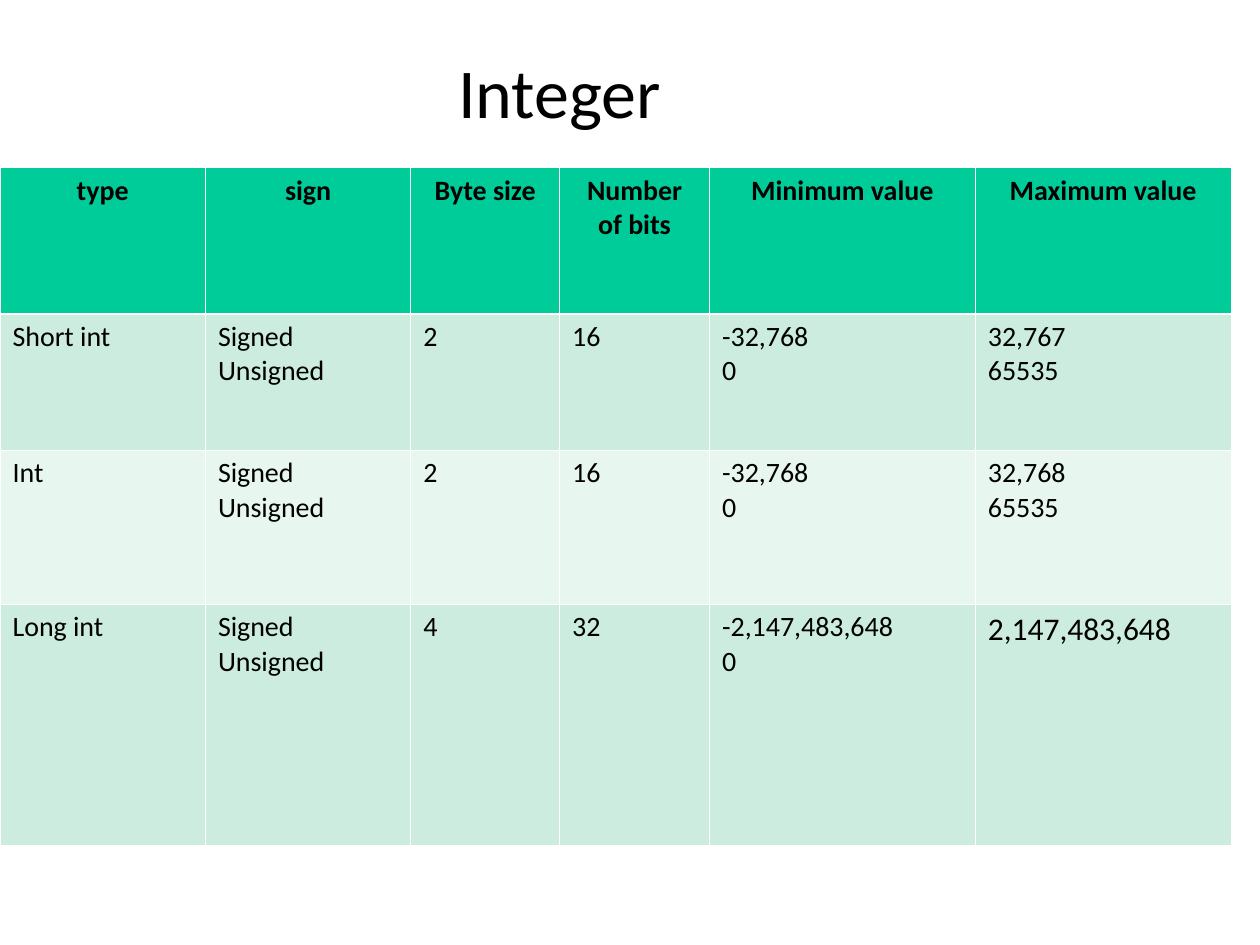
from lxml import etree
from pptx import Presentation
from pptx.dml.color import RGBColor
from pptx.enum.text import MSO_ANCHOR, PP_ALIGN
from pptx.oxml.ns import qn
from pptx.util import Pt

LEFT, CENTER = PP_ALIGN.LEFT, PP_ALIGN.CENTER
TOP, MIDDLE = MSO_ANCHOR.TOP, MSO_ANCHOR.MIDDLE
BLACK = RGBColor(0x00, 0x00, 0x00)
WHITE = RGBColor(0xFF, 0xFF, 0xFF)
GREEN = RGBColor(0x00, 0xCC, 0x99)
MINT = RGBColor(0xCB, 0xEC, 0xDE)
PALE = RGBColor(0xE7, 0xF6, 0xEF)

COL_WIDTHS = [117.4, 117.4, 85, 85.7, 151.9, 146.1]
ROW_HEIGHTS = [83.5, 77.8, 88, 138.2]
ROW_FILLS = [GREEN, MINT, PALE, MINT]
ROWS = [
    ["type", "sign", "Byte size", "Number of bits", "Minimum value", "Maximum value"],
    ["Short int", "Signed\nUnsigned", "2", "16", "-32,768\n0", "32,767\n65535"],
    ["Int", "Signed\nUnsigned", "2", "16", "-32,768\n0", "32,768\n65535"],
    ["Long int", "Signed\nUnsigned", "4", "32", "-2,147,483,648\n0", "2,147,483,648"],
]


def write(tf, text, size=16, bold=False, align=LEFT, spacing=1.0):
    tf.text = text
    for p in tf.paragraphs:
        p.alignment = align
        p.line_spacing = spacing
        for r in p.runs:
            r.font.name = "Calibri"
            r.font.size = Pt(size)
            r.font.bold = bold
            r.font.color.rgb = BLACK


def set_borders(cell, widths):
    tcPr = cell._tc.get_or_add_tcPr()
    for i, (side, width) in enumerate(widths.items()):
        ln = etree.Element(qn(f"a:ln{side}"), w=str(Pt(width)))
        fill = etree.SubElement(ln, qn("a:solidFill"))
        etree.SubElement(fill, qn("a:srgbClr"), val=str(WHITE))
        tcPr.insert(i, ln)


prs = Presentation()
prs.slide_width, prs.slide_height = Pt(720), Pt(540)
s = prs.slides.add_slide(prs.slide_layouts[5])

# Title; its trailing space is part of the wording
title = s.shapes.title
title.left, title.top, title.width, title.height = Pt(54), Pt(12.2), Pt(540.7), Pt(83.5)
title.text_frame.vertical_anchor = MIDDLE
write(title.text_frame, "Integer ", size=40, align=CENTER, spacing=0.97)

# Table of integer types
table = s.shapes.add_table(len(ROWS), len(COL_WIDTHS), Pt(0), Pt(95.8),
                           Pt(sum(COL_WIDTHS)), Pt(sum(ROW_HEIGHTS))).table
for col, width in zip(table.columns, COL_WIDTHS):
    col.width = Pt(width)
for i, (row, height) in enumerate(zip(table.rows, ROW_HEIGHTS)):
    row.height = Pt(height)
    header = i == 0
    borders = {"L": 0.45, "R": 0.45, "T": 1.47 if i == 1 else 0.45, "B": 1.47 if header else 0.45}
    for cell, text in zip(row.cells, ROWS[i]):
        cell.margin_left = cell.margin_right = Pt(7.2)
        cell.margin_top = cell.margin_bottom = Pt(3.6)
        cell.vertical_anchor = TOP
        cell.fill.solid()
        cell.fill.fore_color.rgb = ROW_FILLS[i]
        set_borders(cell, borders)
        write(cell.text_frame, text, bold=header, align=CENTER if header else LEFT,
              size=18 if text == "2,147,483,648" else 16)

prs.save("out.pptx")
